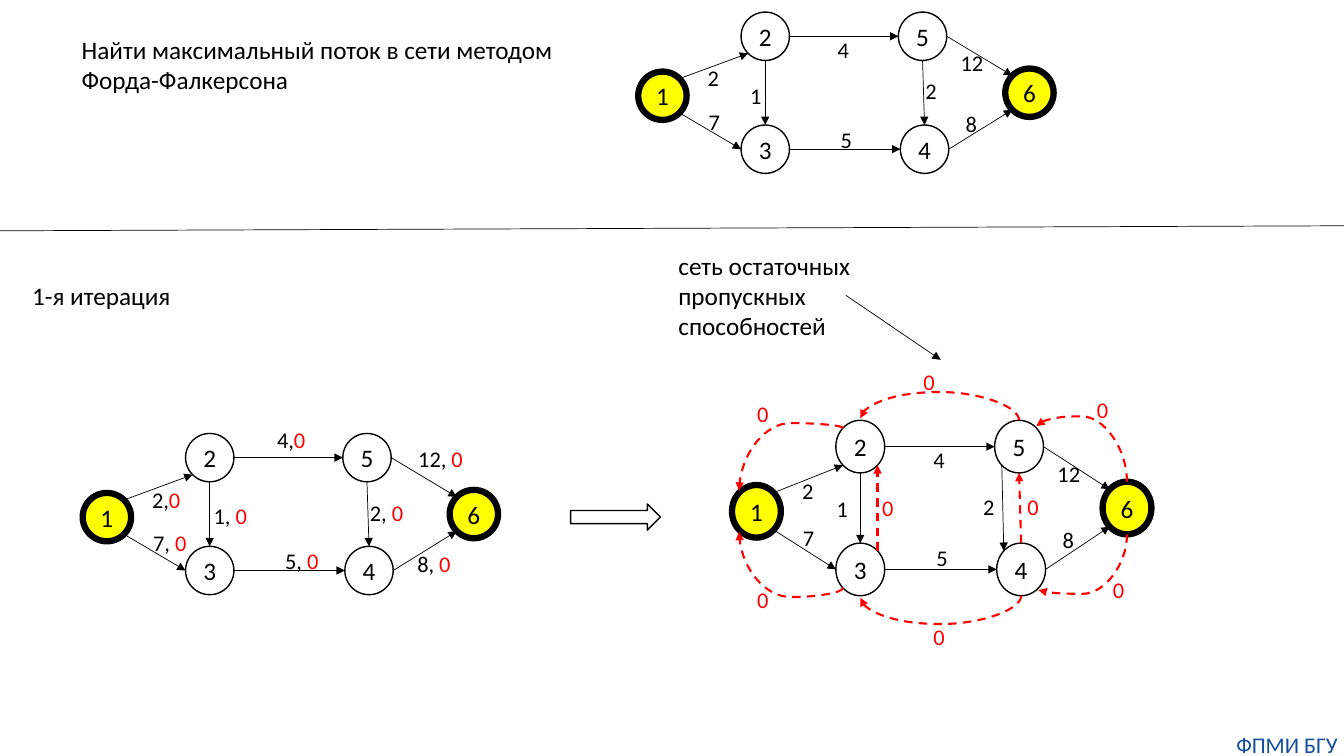
from dataclasses import dataclass
from math import cos, radians, sin

from lxml import etree
from pptx import Presentation, util as u
from pptx.dml.color import RGBColor
from pptx.enum import dml, shapes, text
from pptx.oxml.ns import qn


@dataclass(frozen=True)
class Theme:
    """Colours, font and sizes used on the slide."""
    ink: RGBColor = RGBColor(0, 0, 0)
    flow: RGBColor = RGBColor(0xFF, 0, 0)
    terminal: RGBColor = RGBColor(0xFF, 0xFF, 0)
    footer: RGBColor = RGBColor(0x14, 0x4E, 0x9D)
    font: str = "Calibri"
    body: int = 18
    label: int = 16
    thin: float = 0.5
    outline: float = 1
    residual: float = 1.5
    heavy: float = 4.5


THEME = Theme()
BASE_SIZE = (4.12, 1.6)
NODE = 0.48
NODES = {1: (0, 0.59), 2: (1.02, 0), 3: (1.02, 1.12),
         4: (2.6, 1.12), 5: (2.58, 0), 6: (3.64, 0.56)}
ANGLES = {"right": 0, "br": 45, "bottom": 90, "bl": 135,
          "left": 180, "tl": 225, "top": 270, "tr": 315}
SITES = {(1, 2): ("tr", "bl"), (1, 3): ("br", "left"), (2, 3): ("bottom", "top"),
         (2, 5): ("right", "left"), (3, 4): ("right", "left"),
         (5, 4): ("bottom", "top"), (4, 6): ("right", "bl"), (5, 6): ("right", "tl")}
CAPACITIES = {(1, 2): "2", (1, 3): "7", (2, 3): "1", (2, 5): "4",
              (3, 4): "5", (5, 4): "2", (4, 6): "8", (5, 6): "12"}
LABELS = {(1, 2): (0.59, 0.47), (1, 3): (0.6, 0.9), (2, 3): (1.01, 0.65),
          (2, 5): (1.88, 0.19), (3, 4): (1.91, 1.08), (5, 4): (2.75, 0.6),
          (4, 6): (3.15, 0.92), (5, 6): (3.1, 0.32)}
FLOW_LABELS = {(2, 3): (1.2, 0.63), (2, 5): (1.83, -0.12),
               (4, 6): (3.22, 1.11), (5, 6): (3.23, 0.07)}
FLOWS = {edge: "0" if edge in ((1, 2), (2, 5)) else " 0" for edge in CAPACITIES}
RESIDUAL_LABELS = {(2, 3): (0.93, 0.64), (5, 4): (2.37, 0.62)}
RESIDUAL_SITES = {(5, 4): ("bl", "tl")}
BACK_EDGES = [
    ((5, "top"), (2, "top"), -0.28, (1.8, -0.57)),
    ((6, "top"), (5, "tr"), -0.65, (3.52, -0.29)),
    ((6, "bottom"), (4, "br"), 0.59, (3.68, 1.5)),
    ((4, "bottom"), (3, "bottom"), 0.28, (1.9, 1.96)),
    ((3, "bl"), (1, "bl"), 0.09, (0.15, 1.6)),
    ((2, "tl"), (1, "tl"), -0.05, (0.15, -0.25)),
    ((3, "tr"), (2, "br"), 0, (1.39, 0.68)),
    ((4, "top"), (5, "bottom"), 0, (2.83, 0.67)),
]


def inches(*lengths):
    """Convert several lengths to inches."""
    return [u.Inches(length) for length in lengths]


def style_run(run, size, color):
    """Apply the theme font to a run."""
    run.font.name, run.font.size = THEME.font, u.Pt(size)
    run.font.color.rgb = color


def style_line(line, color, weight):
    """Set the colour and weight of a line."""
    line.color.rgb, line.width = color, u.Pt(weight)


def add_caption(parent, box, parts, size, wrap=True):
    """Add a text box made of (wording, colour) parts."""
    caption = parent.shapes.add_textbox(*inches(*box))
    caption.text_frame.word_wrap = wrap
    for wording, color in parts:
        run = caption.text_frame.paragraphs[0].add_run()
        run.text = wording
        style_run(run, size, color)
    return caption


def add_label(parent, position, parts):
    """Add an edge label as wide as its wording."""
    wording = "".join(part for part, _ in parts)
    width = 0.2 + sum(0.113 if sign.isdigit() else 0.055 for sign in wording)
    add_caption(parent, (*position, width, 0.37), parts, THEME.label, wrap=False)


def finish_edge(edge, color, weight, dashed=False, arrow=True):
    """Style an edge, its arrowhead and its shadow."""
    style_line(edge.line, color, weight)
    if dashed:
        edge.line.dash_style = dml.MSO_LINE.DASH
    properties = edge._element.spPr
    if arrow:
        etree.SubElement(properties.find(qn("a:ln")), qn("a:tailEnd"), type="triangle")
    etree.SubElement(properties, qn("a:effectLst"))


def add_edge(parent, start, end, color=THEME.ink, weight=THEME.thin, **options):
    """Add a straight edge."""
    edge = parent.shapes.add_connector(
        shapes.MSO_CONNECTOR.STRAIGHT, *inches(*start, *end))
    finish_edge(edge, color, weight, **options)


def add_arc(parent, start, end, bulge):
    """Add a dashed arc that leaves vertically and reaches bulge inches from its start."""
    rise = end[1] + (0.02 if bulge > 0 else -0.02) - start[1]
    span = abs(end[0] - start[0])
    left = (start[0] + end[0] - abs(rise)) / 2
    top = start[1] + (rise - span) / 2
    arc = parent.shapes.add_connector(
        shapes.MSO_CONNECTOR.CURVE, *inches(left, top, left + abs(rise), top + span))
    properties = arc._element.spPr
    frame = properties.find(qn("a:xfrm"))
    frame.set("rot", "5400000")
    if rise < 0:
        frame.set("flipH", "1")
    adjustments = properties.find(qn("a:prstGeom")).find(qn("a:avLst"))
    etree.SubElement(adjustments, qn("a:gd"), name="adj1",
                     fmla=f"val {round(bulge / rise * 100000)}")
    finish_edge(arc, THEME.flow, THEME.residual, dashed=True)


def add_node(parent, box, number):
    """Add a numbered node; source and sink stand out."""
    node = parent.shapes.add_shape(shapes.MSO_SHAPE.OVAL, *inches(*box))
    node.shadow.inherit = False
    terminal = number in (1, 6)
    if terminal:
        node.fill.solid()
        node.fill.fore_color.rgb = THEME.terminal
    else:
        node.fill.background()
    style_line(node.line, THEME.ink, THEME.heavy if terminal else THEME.outline)
    frame = node.text_frame
    frame.margin_left = frame.margin_right = frame.margin_top = frame.margin_bottom = 0
    frame.vertical_anchor = text.MSO_ANCHOR.MIDDLE
    frame.text = str(number)
    frame.paragraphs[0].alignment = text.PP_ALIGN.CENTER
    style_run(frame.paragraphs[0].runs[0], THEME.body, THEME.ink)


def add_network(slide, box, labels, sites=SITES, flows=None, back_edges=()):
    """Draw the flow network scaled into its box."""
    left, top, width, height = box
    scale_x, scale_y = width / BASE_SIZE[0], height / BASE_SIZE[1]
    network = slide.shapes.add_group_shape()

    def place(x, y):
        return left + x * scale_x, top + y * scale_y

    def rim(number, site):
        x, y = NODES[number]
        angle, radius = radians(ANGLES[site]), NODE / 2
        return place(x + radius * (1 + cos(angle)), y + radius * (1 + sin(angle)))

    for number, corner in NODES.items():
        add_node(network, (*place(*corner), NODE * scale_x, NODE * scale_y), number)
    for edge, capacity in CAPACITIES.items():
        start, end = (rim(*joint) for joint in zip(edge, sites[edge]))
        add_edge(network, start, end)
        parts = [(capacity, THEME.ink)]
        if flows:
            parts = [(capacity + ",", THEME.ink), (flows[edge], THEME.flow)]
        add_label(network, place(*labels[edge]), parts)
    for source, target, bulge, (x, y) in back_edges:
        if bulge:
            add_arc(network, rim(*source), rim(*target), bulge)
        else:
            add_edge(network, rim(*source), rim(*target),
                     THEME.flow, THEME.residual, dashed=True)
        add_label(network, (left + x, top + y), [("0", THEME.flow)])


def add_task(slide, box):
    """Place the task title and the given network above the divider."""
    left, top, width, _ = box
    task = slide.shapes.title
    task.left, task.top, task.width, task.height = inches(left + 0.71, top + 0.29, 5.47, 0.71)
    frame = task.text_frame
    frame.text = "Найти максимальный поток в сети методом Форда-Фалкерсона"
    frame.word_wrap, frame.auto_size = True, text.MSO_AUTO_SIZE.NONE
    frame.vertical_anchor = text.MSO_ANCHOR.TOP
    frame.paragraphs[0].alignment = text.PP_ALIGN.LEFT
    style_run(frame.paragraphs[0].runs[0], THEME.body, THEME.ink)
    add_network(slide, (left + 6.33, top + 0.12, *BASE_SIZE), LABELS)
    add_edge(slide, (left, top + 2.29), (left + width, top + 2.24), arrow=False)


def add_iteration(slide, box):
    """Place the first iteration: flow network, arrow and residual network."""
    left, top, width, height = box
    add_caption(slide, (left + 0.22, top + 0.43, 1.62, 0.4),
                [("1-я итерация", THEME.ink)], THEME.body, wrap=False)
    add_network(slide, (left + 0.82, top + 2, *BASE_SIZE), LABELS | FLOW_LABELS, flows=FLOWS)
    step = slide.shapes.add_shape(
        shapes.MSO_SHAPE.RIGHT_ARROW, *inches(left + 5.66, top + 2.7, 0.89, 0.26))
    step.shadow.inherit = False
    step.fill.background()
    style_line(step.line, THEME.ink, THEME.outline)
    add_caption(slide, (left + 6.63, top + 0.13, 2.15, 1.01),
                [("сеть остаточных пропускных способностей", THEME.ink)], THEME.body)
    add_edge(slide, (left + 8.39, top + 0.63), (left + 9.33, top + 1.27))
    add_network(slide, (left + 7.26, top + 1.87, 4.16, 1.74), LABELS | RESIDUAL_LABELS,
                SITES | RESIDUAL_SITES, back_edges=BACK_EDGES)
    footer = add_caption(slide, (left + width - 1.13, top + height + 0.05 - 0.3, 1.13, 0.27),
                         [("ФПМИ БГУ", THEME.footer)], THEME.label)
    frame = footer.text_frame
    frame.margin_left = frame.margin_right = frame.margin_top = frame.margin_bottom = 0
    frame.paragraphs[0].alignment = text.PP_ALIGN.CENTER


def main():
    """Build and save the slide."""
    deck = Presentation()
    deck.slide_width, deck.slide_height = inches(13.33, 7.5)
    slide = deck.slides.add_slide(deck.slide_layouts[5])
    add_task(slide, (0, 0, 13.33, 2.3))
    add_iteration(slide, (0, 2.3, 13.33, 5.2))
    deck.save("out.pptx")


if __name__ == "__main__":
    main()
